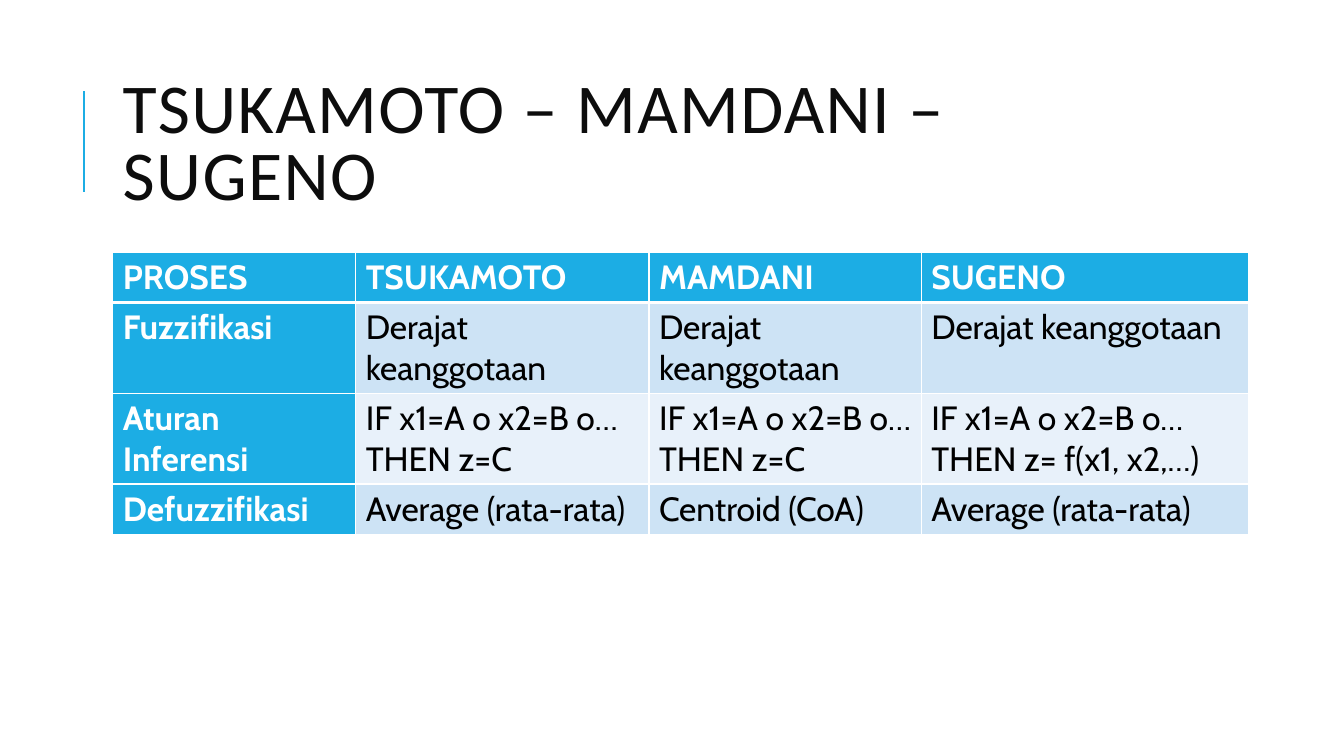
"""Builds a slide that compares three fuzzy inference methods in a table."""
from lxml.etree import SubElement as Sub
from pptx import Presentation as Deck
from pptx.dml.color import RGBColor as Rgb
from pptx.enum.shapes import MSO_CONNECTOR as Link
from pptx.enum.text import MSO_ANCHOR as Anchor
from pptx.oxml.ns import qn
from pptx.util import Pt

HUES = {"blue": "1CADE4", "dark": "CDE3F5", "pale": "E8F1FA",
        "white": "FFFFFF", "black": "000000", "ink": "0D0D0D"}
COLS = [173.5, 209.5, 194.5, 234]
ROW = 29.2
GRID = [
    ["PROSES", "TSUKAMOTO", "MAMDANI", "SUGENO"],
    ["Fuzzifikasi"] + ["Derajat keanggotaan"] * 3,
    ["Aturan Inferensi"] + ["IF x1=A o x2=B o… THEN z=C"] * 2
    + ["IF x1=A o x2=B o… THEN z= f(x1, x2,…)"],
    ["Defuzzifikasi", "Average (rata-rata)", "Centroid (CoA)",
     "Average (rata-rata)"],
]


def hue(name):
    return Rgb.from_string(HUES[name])


def write(frame, text, font="Cabin", size=24, color="black", bold=False,
          lead=None, space=0):
    para = frame.paragraphs[0]
    para.line_spacing = lead
    run = para.add_run()
    run.text = text
    run.font.name = font
    run.font.size = Pt(size)
    run.font.bold = bold
    run.font.color.rgb = hue(color)
    if space:
        run.font._element.set("spc", str(space * 100))


def add_title(slide, text):
    box = slide.shapes.add_textbox(Pt(80.6), Pt(46), Pt(765.4), Pt(118))
    frame = box.text_frame
    frame.word_wrap = True
    frame.vertical_anchor = Anchor.MIDDLE
    write(frame, text, font="Calibri", size=50, color="ink", lead=0.8, space=1)


def add_bar(slide, x, top, end):
    bar = slide.shapes.add_connector(Link.STRAIGHT, Pt(x), Pt(end), Pt(x), Pt(top))
    bar.line.color.rgb = hue("blue")
    bar.line.width = Pt(1.5)
    Sub(bar._element.spPr, qn("a:effectLst"))


def edge(cell, side, width):
    props = cell._tc.get_or_add_tcPr()
    line = Sub(props, qn("a:ln" + side), w=str(Pt(width)))
    fill = Sub(line, qn("a:solidFill"))
    Sub(fill, qn("a:srgbClr"), val=HUES["white"])


def style(cell, row, col):
    for side in "LRTB":
        thick = (row == 0 and side == "B") or (row == 1 and side == "T")
        edge(cell, side, 3 if thick else 1)
    head = row == 0 or col == 0
    cell.fill.solid()
    cell.fill.fore_color.rgb = hue("blue" if head else "dark" if row % 2 else "pale")
    return head


def add_grid(slide):
    shape = slide.shapes.add_table(len(GRID), len(COLS), Pt(80.6), Pt(180),
                                   Pt(sum(COLS)), Pt(ROW * len(GRID)))
    table = shape.table
    for col, width in zip(table.columns, COLS):
        col.width = Pt(width)
    for r, texts in enumerate(GRID):
        for c, text in enumerate(texts):
            cell = table.cell(r, c)
            head = style(cell, r, c)
            write(cell.text_frame, text, bold=head,
                  color="white" if head else "black")


def main():
    deck = Deck()
    deck.slide_width, deck.slide_height = Pt(960), Pt(540)
    slide = deck.slides.add_slide(deck.slide_layouts[6])
    add_bar(slide, 60, 65, 137)
    add_title(slide, "TSUKAMOTO – MAMDANI – SUGENO")
    add_grid(slide)
    deck.save("out.pptx")


if __name__ == "__main__":
    main()
